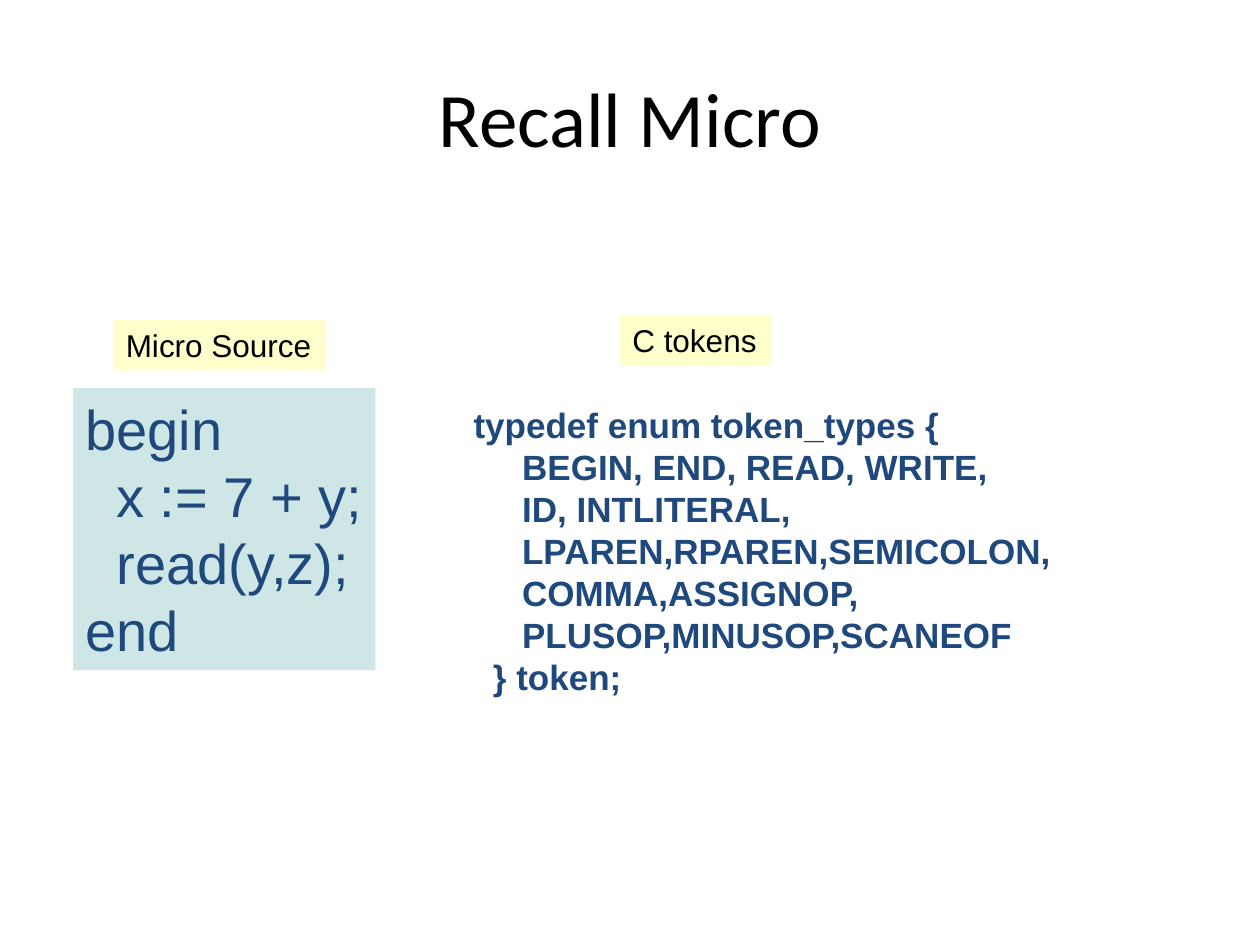
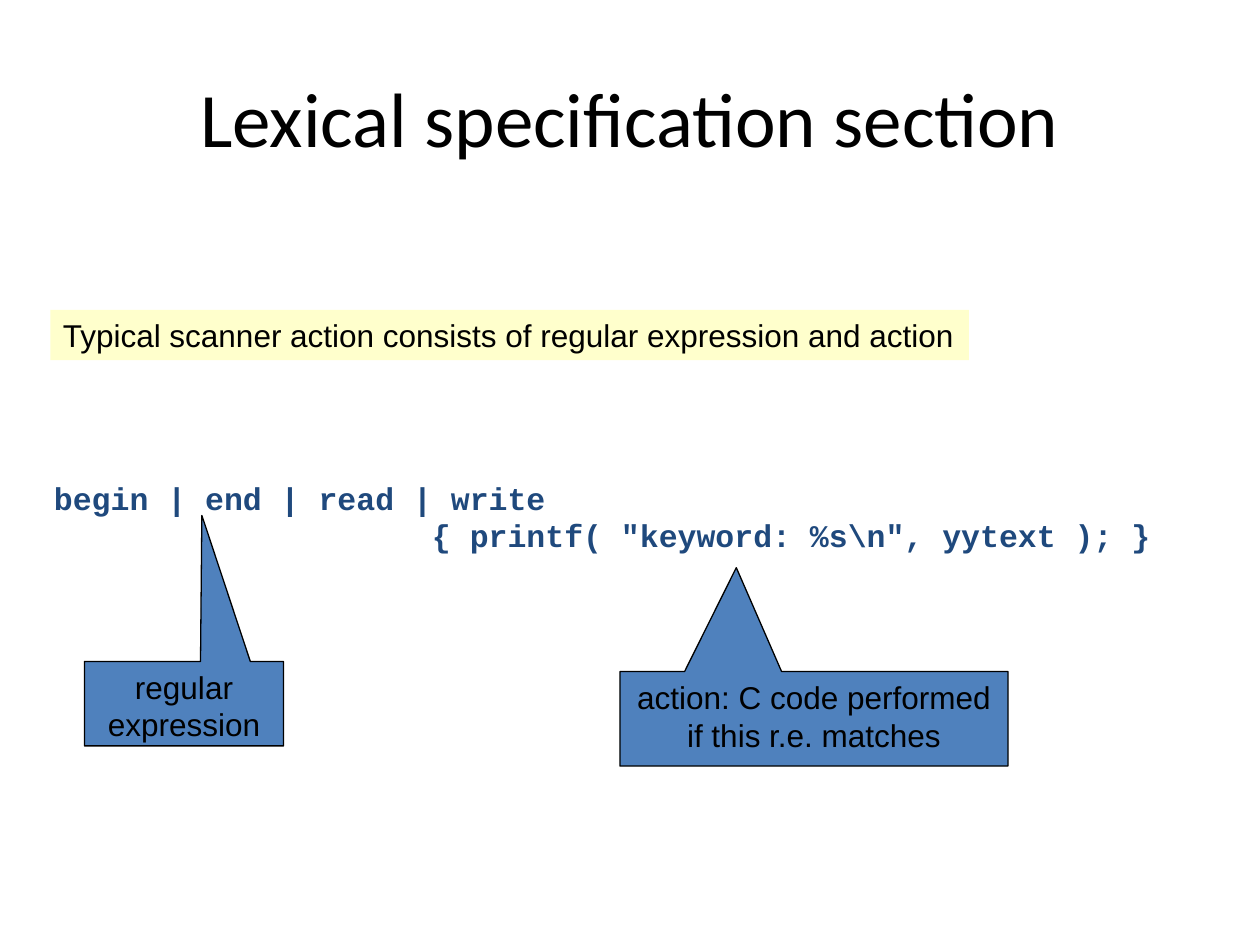
from pptx import Presentation
from pptx.dml.color import RGBColor
from pptx.enum.shapes import MSO_SHAPE as Shape
from pptx.enum.text import MSO_ANCHOR as Anchor, MSO_AUTO_SIZE as AutoSize, PP_ALIGN as Align
from pptx.util import Inches, Pt

BLACK, NAVY, BLUE = "000000", "1F497D", "4F81BD"
CREAM, MINT = "FFFFCC", "CEE7E6"

MICRO_SOURCE = ["begin", "  x := 7 + y;", "  read(y,z);", "end"]
C_TOKENS = [
    "typedef enum token_types {",
    "     BEGIN, END, READ, WRITE,",
    "     ID, INTLITERAL,",
    "     LPAREN,RPAREN,SEMICOLON,",
    "     COMMA,ASSIGNOP,",
    "     PLUSOP,MINUSOP,SCANEOF",
    "  } token;",
]
SCANNER_RULE = [
    "begin | end | read | write",
    '                    { printf( "keyword: %s\\n", yytext ); }',
]

SLIDES = [
    {
        "title": "Recall Micro",
        "code": [
            (MICRO_SOURCE, (0.58, 3.08, 2.4, 2.24), {"size": 32, "fill": MINT}),
            (C_TOKENS, (3.66, 3.15, 4.82, 2.44), {"size": 20, "bold": True}),
        ],
        "labels": [
            ("Micro Source", (0.9, 2.54, 1.68, 0.4)),
            ("C tokens", (4.92, 2.5, 1.2, 0.4)),
        ],
        "callouts": [],
    },
    {
        "title": "Lexical specification section",
        "code": [
            (SCANNER_RULE, (0.33, 3.75, 9, 0.7),
             {"font": "Courier New", "bold": True, "wrap": True}),
        ],
        "labels": [
            ("Typical scanner action consists of regular expression and action",
             (0.4, 2.46, 7.29, 0.4)),
        ],
        "callouts": [
            ("regular expression", (0.67, 5.25, 1.58, 0.67), (0.09, -2.23)),
            ("action: C code performed if this r.e. matches",
             (4.92, 5.33, 3.08, 0.75), (-0.2, -1.6)),
        ],
    },
]


def color(value):
    return RGBColor.from_string(value)


def write(shape, lines, font="Arial", size=18, ink=BLACK, bold=False,
          align=Align.LEFT, anchor=Anchor.TOP, wrap=True):
    frame = shape.text_frame
    frame.word_wrap = wrap
    frame.vertical_anchor = anchor
    for index, line in enumerate(lines):
        para = frame.add_paragraph() if index else frame.paragraphs[0]
        para.alignment = align
        span = para.add_run()
        span.text = line
        span.font.name = font
        span.font.size = Pt(size)
        span.font.bold = bold
        span.font.color.rgb = color(ink)


def place(shape, area):
    shape.left, shape.top, shape.width, shape.height = map(Inches, area)


def add_box(page, lines, area, fill=None, wrap=False, **style):
    box = page.shapes.add_textbox(*map(Inches, area))
    if fill:
        box.fill.solid()
        box.fill.fore_color.rgb = color(fill)
    write(box, lines, wrap=wrap, **style)
    box.text_frame.auto_size = AutoSize.SHAPE_TO_FIT_TEXT


def add_callout(page, text, area, tip):
    callout = page.shapes.add_shape(Shape.RECTANGULAR_CALLOUT, *map(Inches, area))
    callout.shadow.inherit = False
    callout.adjustments[0], callout.adjustments[1] = tip
    callout.fill.solid()
    callout.fill.fore_color.rgb = color(BLUE)
    callout.line.color.rgb = color(BLACK)
    callout.line.width = Pt(0.75)
    write(callout, [text], align=Align.CENTER)


def add_page(deck, content):
    page = deck.slides.add_slide(deck.slide_layouts[5])
    place(page.shapes.title, (0.5, 0.3, 9, 1.25))
    write(page.shapes.title, [content["title"]], font="Calibri", size=44,
          align=Align.CENTER, anchor=Anchor.MIDDLE)
    for lines, area, style in content["code"]:
        add_box(page, lines, area, ink=NAVY, **style)
    for text, area in content["labels"]:
        add_box(page, [text], area, fill=CREAM)
    for text, area, tip in content["callouts"]:
        add_callout(page, text, area, tip)


def main():
    deck = Presentation()
    deck.slide_width, deck.slide_height = Inches(10), Inches(7.5)
    for content in SLIDES:
        add_page(deck, content)
    deck.save("out.pptx")


if __name__ == "__main__":
    main()
